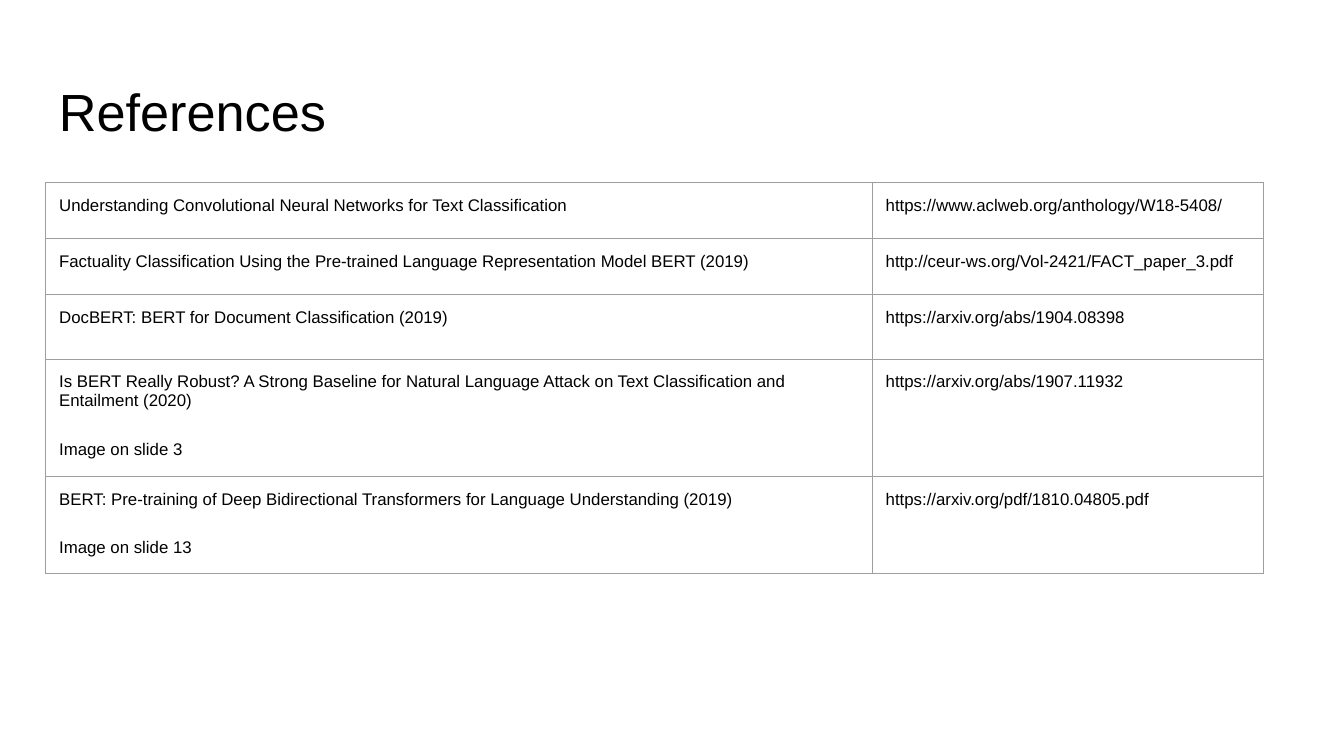
from dataclasses import dataclass

from lxml import etree
from pptx import Presentation
from pptx.dml.color import RGBColor
from pptx.enum.text import MSO_ANCHOR
from pptx.oxml.ns import qn
from pptx.slide import Slide
from pptx.table import _Cell
from pptx.text.text import TextFrame
from pptx.util import Inches, Pt

TOP = MSO_ANCHOR.TOP
FONT = "Arial"
BLACK = "000000"
WHITE = "FFFFFF"
GRID_GRAY = "9E9E9E"
GRID_WIDTH = Pt(0.75)
INSET = Inches(0.1)
PARAGRAPH_GAP = Pt(16)
COLUMN_WIDTHS = (6.15, 2.91)
ROW_HEIGHT = 5 / 12


@dataclass(frozen=True)
class Reference:
    title: str
    address: str
    note: str = ""
    height: float = ROW_HEIGHT


REFERENCES = (
    Reference("Understanding Convolutional Neural Networks for Text Classification",
              "https://www.aclweb.org/anthology/W18-5408/"),
    Reference("Factuality Classification Using the Pre-trained Language Representation Model BERT (2019)",
              "http://ceur-ws.org/Vol-2421/FACT_paper_3.pdf"),
    Reference("DocBERT: BERT for Document Classification (2019)",
              "https://arxiv.org/abs/1904.08398", height=0.48),
    Reference("Is BERT Really Robust? A Strong Baseline for Natural Language Attack on "
              "Text Classification and Entailment (2020)",
              "https://arxiv.org/abs/1907.11932", "Image on slide 3"),
    Reference("BERT: Pre-training of Deep Bidirectional Transformers for Language Understanding (2019)",
              "https://arxiv.org/pdf/1810.04805.pdf", "Image on slide 13"),
)


def color(value: str) -> RGBColor:
    return RGBColor.from_string(value)


def format_text(frame: TextFrame, size: float) -> None:
    for paragraph in frame.paragraphs:
        for run in paragraph.runs:
            run.font.name = FONT
            run.font.size = Pt(size)
            run.font.color.rgb = color(BLACK)


def draw_borders(cell: _Cell) -> None:
    properties = cell._tc.get_or_add_tcPr()
    for position, side in enumerate(("a:lnL", "a:lnR", "a:lnT", "a:lnB")):
        border = etree.Element(qn(side), w=str(GRID_WIDTH))
        fill = etree.SubElement(border, qn("a:solidFill"))
        etree.SubElement(fill, qn("a:srgbClr"), val=GRID_GRAY)
        properties.insert(position, border)


def fill_cell(cell: _Cell, text: str, note: str = "") -> None:
    cell.fill.solid()
    cell.fill.fore_color.rgb = color(WHITE)
    cell.vertical_anchor = TOP
    cell.margin_left = cell.margin_right = INSET
    cell.margin_top = cell.margin_bottom = INSET
    cell.text_frame.text = text
    if note:
        remark = cell.text_frame.add_paragraph()
        remark.text = note
        remark.space_before = remark.space_after = PARAGRAPH_GAP
    format_text(cell.text_frame, 9)
    draw_borders(cell)


def add_heading(slide: Slide, text: str) -> None:
    heading = slide.shapes.add_textbox(Inches(0.34), Inches(0.49), Inches(9.32), Inches(0.63))
    frame = heading.text_frame
    frame.word_wrap = True
    frame.vertical_anchor = TOP
    frame.margin_left = frame.margin_right = INSET
    frame.margin_top = frame.margin_bottom = INSET
    frame.text = text
    format_text(frame, 28)


def add_references(slide: Slide, references: tuple[Reference, ...]) -> None:
    table = slide.shapes.add_table(
        len(references), len(COLUMN_WIDTHS), Inches(0.34), Inches(1.36),
        Inches(sum(COLUMN_WIDTHS)), Inches(sum(item.height for item in references)),
    ).table
    table.first_row = False
    table.horz_banding = False
    for column, width in zip(table.columns, COLUMN_WIDTHS):
        column.width = Inches(width)
    for row, reference in zip(table.rows, references):
        row.height = Inches(reference.height)
        title_cell, address_cell = row.cells
        fill_cell(title_cell, reference.title, reference.note)
        fill_cell(address_cell, reference.address)


def main() -> None:
    presentation = Presentation()
    presentation.slide_width = Inches(10)
    presentation.slide_height = presentation.slide_width * 9 // 16
    slide = presentation.slides.add_slide(presentation.slide_layouts[6])
    add_heading(slide, "References")
    add_references(slide, REFERENCES)
    presentation.save("out.pptx")


if __name__ == "__main__":
    main()
